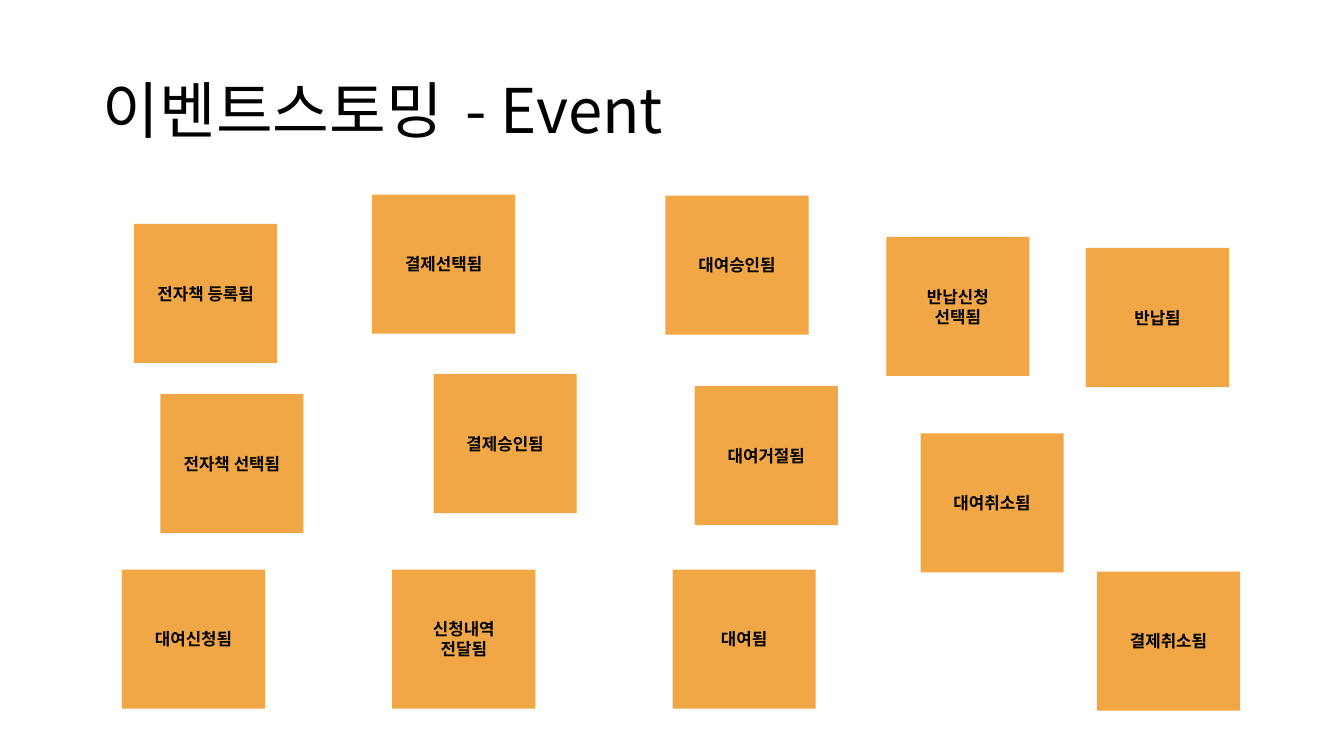
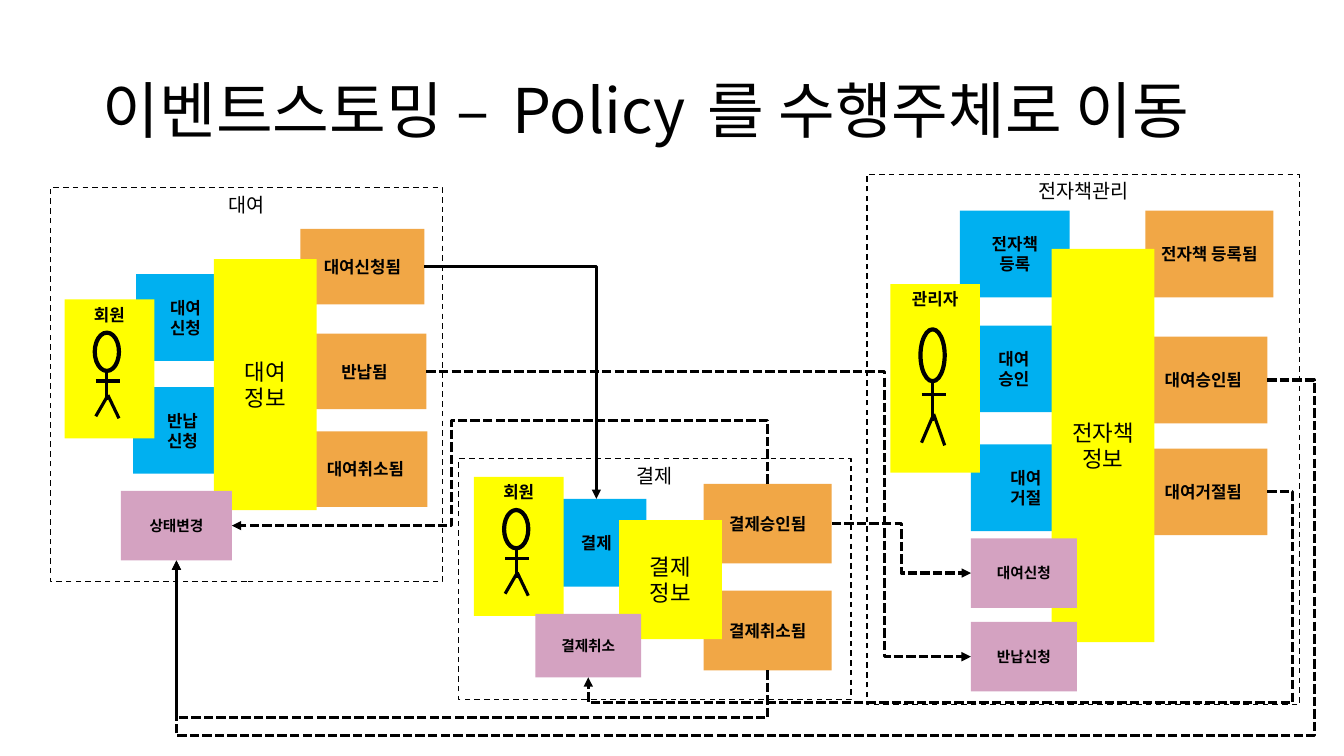
from dataclasses import dataclass

from lxml.etree import SubElement
from pptx import Presentation
from pptx.dml.color import RGBColor
from pptx.enum.dml import MSO_LINE
from pptx.enum.shapes import MSO_CONNECTOR, MSO_SHAPE
from pptx.enum.text import MSO_ANCHOR, MSO_AUTO_SIZE, PP_ALIGN
from pptx.oxml.ns import qn
from pptx.util import Inches, Pt

TOP, LEFT, BASE, RIGHT = range(4)


@dataclass(frozen=True)
class Theme:
    """Colours, font and sizes shared by the slides."""
    ink: str = "000000"
    event: str = "F1A746"
    order: str = "00B0F0"
    data: str = "FFFF00"
    rule: str = "D4A2C1"
    font: str = "Noto Sans CJK KR"
    head: float = 44
    info: float = 16
    zone: float = 14
    card: float = 12
    small: float = 10.5
    thin: float = 1
    wire: float = 2.25
    thick: float = 3


THEME = Theme()


def write(par, text, size=THEME.card, bold=False, color=THEME.ink,
          align=PP_ALIGN.CENTER, track=None):
    """Add a formatted run to a paragraph."""
    par.alignment = align
    run = par.add_run()
    run.text = text
    font = run.font
    font.size, font.bold, font.name = Pt(size), bold, THEME.font
    font.color.rgb = RGBColor.from_string(color)
    mark = run._r.get_or_add_rPr()
    SubElement(mark, qn("a:ea")).set("typeface", THEME.font)
    if track:
        mark.set("spc", str(track))


class Deck:
    """Holds the style and the slide being drawn."""

    def __init__(self, theme):
        """Start an empty wide deck."""
        self.theme = theme
        self.show = Presentation()
        self.show.slide_width = Inches(13.33)
        self.show.slide_height = Inches(7.5)

    def page(self, *parts, width=11.5):
        """Add a slide whose title parts stand a wide space apart."""
        slide = self.show.slides.add_slide(self.show.slide_layouts[5])
        self.shapes, self.cards = slide.shapes, {}
        title = slide.shapes.title
        title.left, title.top = Inches(0.92), Inches(0.4)
        title.width, title.height = Inches(width), Inches(1.45)
        frame = title.text_frame
        frame.vertical_anchor = MSO_ANCHOR.MIDDLE
        frame.auto_size = MSO_AUTO_SIZE.NONE
        par = frame.paragraphs[0]
        par.line_spacing = 0.9
        look = dict(size=self.theme.head, align=PP_ALIGN.LEFT)
        for i, part in enumerate(parts):
            if i:
                write(par, " ", track=600, **look)
            write(par, part, **look)

    def stroke(self, line, width, dash=None):
        """Format a line or an outline."""
        line.color.rgb = RGBColor.from_string(self.theme.ink)
        line.width = Pt(width)
        if dash:
            line.dash_style = dash

    def box(self, area, text="", fill=None, line=None, dash=None,
            form=MSO_SHAPE.RECTANGLE, anchor=MSO_ANCHOR.MIDDLE, **look):
        """Draw a shape with centred text."""
        shape = self.shapes.add_shape(form, *map(Inches, area))
        shape.shadow.inherit = False
        if fill:
            shape.fill.solid()
            shape.fill.fore_color.rgb = RGBColor.from_string(fill)
        else:
            shape.fill.background()
        if line:
            self.stroke(shape.line, line, dash)
        else:
            shape.line.fill.background()
        frame = shape.text_frame
        frame.word_wrap = True
        frame.vertical_anchor = anchor
        if text:
            for i, row in enumerate(text.split("\n")):
                par = frame.add_paragraph() if i else frame.paragraphs[0]
                write(par, row, **look)
        return shape

    def card(self, text, *area, fill, bold=True, **look):
        """Draw a note and keep it for wiring."""
        self.cards[text] = self.box(area, text, fill, bold=bold, **look)

    def zone(self, text, *area):
        """Draw a dashed, titled frame."""
        self.box(area, text, line=self.theme.thin, dash=MSO_LINE.DASH,
                 anchor=MSO_ANCHOR.TOP, size=self.theme.zone)

    def link(self, form, ends, dash=None):
        """Draw a connector between two points."""
        wire = self.shapes.add_connector(form, *map(Inches, ends))
        SubElement(wire._element.spPr, qn("a:effectLst"))
        self.stroke(wire.line, self.theme.wire, dash)
        return wire

    def actor(self, text, x, y, high):
        """Draw a stick figure on a note."""
        k = high / 1.38
        self.box((x, y, 0.89, high), text, self.theme.data,
                 anchor=MSO_ANCHOR.TOP, bold=True)
        self.box((x + 0.3, y + 0.33 * k, 0.24, 0.38 * k),
                 line=self.theme.thick, form=MSO_SHAPE.OVAL)
        limbs = [(0.31, 0.81, 0.55, 0.81), (0.42, 0.71, 0.42, 1),
                 (0.42, 0.97, 0.31, 1.16), (0.43, 0.95, 0.54, 1.18)]
        for a, b, c, d in limbs:
            ends = (x + a, y + b * k, x + c, y + d * k)
            self.link(MSO_CONNECTOR.STRAIGHT, ends)

    def bend(self, start, exit, end, entry, form, *bends, turn=0, flip="",
             dash=MSO_LINE.SQUARE_DOT):
        """Wire two notes with a bent arrow."""
        wire = self.link(MSO_CONNECTOR.ELBOW, (0, 0, 1, 1), dash)
        wire.begin_connect(self.cards[start], exit)
        wire.end_connect(self.cards[end], entry)
        props = wire._element.spPr
        if turn:
            wide, high = wire.width, wire.height
            wire.left += (wide - high) // 2
            wire.top += (high - wide) // 2
            wire.width, wire.height = high, wide
            frame = props.find(qn("a:xfrm"))
            frame.set("rot", str(turn * 60000))
            for side in "HV":
                frame.set("flip" + side, str(int(side in flip)))
        shape = props.find(qn("a:prstGeom"))
        shape.set("prst", f"bentConnector{form}")
        guides = shape.find(qn("a:avLst"))
        if guides is None:
            guides = SubElement(shape, qn("a:avLst"))
        for i, bend in enumerate(bends, 1):
            guide = SubElement(guides, qn("a:gd"))
            guide.set("name", f"adj{i}")
            guide.set("fmla", f"val {round(bend * 100000)}")
        SubElement(wire.line._get_or_add_ln(), qn("a:tailEnd")).set(
            "type", "triangle")


def events(deck):
    """Draw the event notes."""
    deck.page("이벤트스토밍", "- Event")
    for text, x, y in [
        ("전자책 등록됨", 1.33, 2.22), ("대여신청됨", 1.21, 5.65),
        ("결제승인됨", 4.3, 3.71), ("전자책 선택됨", 1.59, 3.91),
        ("신청내역\n전달됨", 3.89, 5.65), ("대여승인됨", 6.6, 1.94),
        ("대여거절됨", 6.89, 3.83), ("대여됨", 6.67, 5.65),
        ("결제선택됨", 3.69, 1.93), ("대여취소됨", 9.13, 4.3),
        ("반납됨", 10.77, 2.46), ("반납신청\n선택됨", 8.79, 2.35),
        ("결제취소됨", 10.88, 5.67),
    ]:
        deck.card(text, x, y, 1.42, 1.38, fill=deck.theme.event)


def rules(deck):
    """Draw the policies moved to their owners."""
    theme = deck.theme
    deck.page("이벤트스토밍 –", "Policy", "를 수행주체로 이동", width=11.88)
    for text, *area in [
        ("전자책 등록됨", 11.36, 2.09, 1.27, 0.86),
        ("대여승인됨", 11.3, 3.34, 1.27, 0.86),
        ("대여거절됨", 11.3, 4.45, 1.27, 0.86),
        ("대여신청됨", 2.98, 2.27, 1.23, 0.75),
        ("반납됨", 3, 3.31, 1.23, 0.75),
        ("대여취소됨", 3.01, 4.28, 1.23, 0.75),
        ("결제승인됨", 6.98, 4.8, 1.27, 0.79),
        ("결제취소됨", 6.98, 5.86, 1.27, 0.79),
    ]:
        deck.card(text, *area, fill=theme.event)
    for text, *area in [
        ("전자책\n등록", 9.52, 2.09, 1.09, 0.86),
        ("대여\n승인", 9.51, 3.23, 1.09, 0.86),
        ("대여\n거절", 9.63, 4.41, 1.09, 0.86),
        ("대여\n신청", 1.35, 2.72, 0.98, 0.86),
        ("반납\n신청", 1.32, 3.84, 0.98, 0.86),
        ("결제", 5.42, 4.95, 0.99, 0.87),
    ]:
        deck.card(text, *area, fill=theme.order)
    deck.actor("회원", 0.64, 2.97, 1.38)
    deck.actor("회원", 4.7, 4.73, 1.38)
    deck.actor("관리자", 8.83, 2.82, 1.87)
    for text, x, y, high in [
        ("결제\n정보", 6.14, 5.16, 1.18),
        ("전자책\n정보", 10.43, 2.47, 3.9),
        ("대여\n정보", 2.12, 2.57, 2.49),
    ]:
        deck.card(text, x, y, 1.02, high, fill=theme.data, bold=False,
                  size=theme.info)
    deck.zone("대여", 0.5, 1.86, 3.89, 3.91)
    deck.zone("결제", 4.55, 4.55, 3.89, 2.39)
    deck.zone("전자책관리", 8.6, 1.73, 4.29, 5.26)
    for text, *area in [
        ("대여신청", 9.63, 5.34, 1.05, 0.69),
        ("상태변경", 1.2, 4.87, 1.1, 0.69),
        ("결제취소", 5.31, 6.09, 1.05, 0.63),
        ("반납신청", 9.63, 6.17, 1.05, 0.69),
    ]:
        deck.card(text, *area, fill=theme.rule, size=theme.small)
    deck.bend("대여신청됨", RIGHT, "결제", TOP, 2, dash=None)
    deck.bend("결제승인됨", RIGHT, "대여신청", LEFT, 3, 0.5)
    deck.bend("반납됨", RIGHT, "반납신청", LEFT, 3, 0.841)
    deck.bend("대여승인됨", RIGHT, "상태변경", BASE, 4, -0.043, 1.971)
    deck.bend("대여거절됨", RIGHT, "결제취소", BASE, 4, -0.037, 1.136)
    deck.bend("결제취소됨", BASE, "상태변경", BASE, 3, -0.432,
              turn=90, flip="H")
    deck.bend("결제승인됨", TOP, "상태변경", RIGHT, 4, -1.516, 0.59,
              turn=270, flip="HV")


def main():
    """Build and save the deck."""
    deck = Deck(THEME)
    events(deck)
    rules(deck)
    deck.show.save("out.pptx")


if __name__ == "__main__":
    main()
